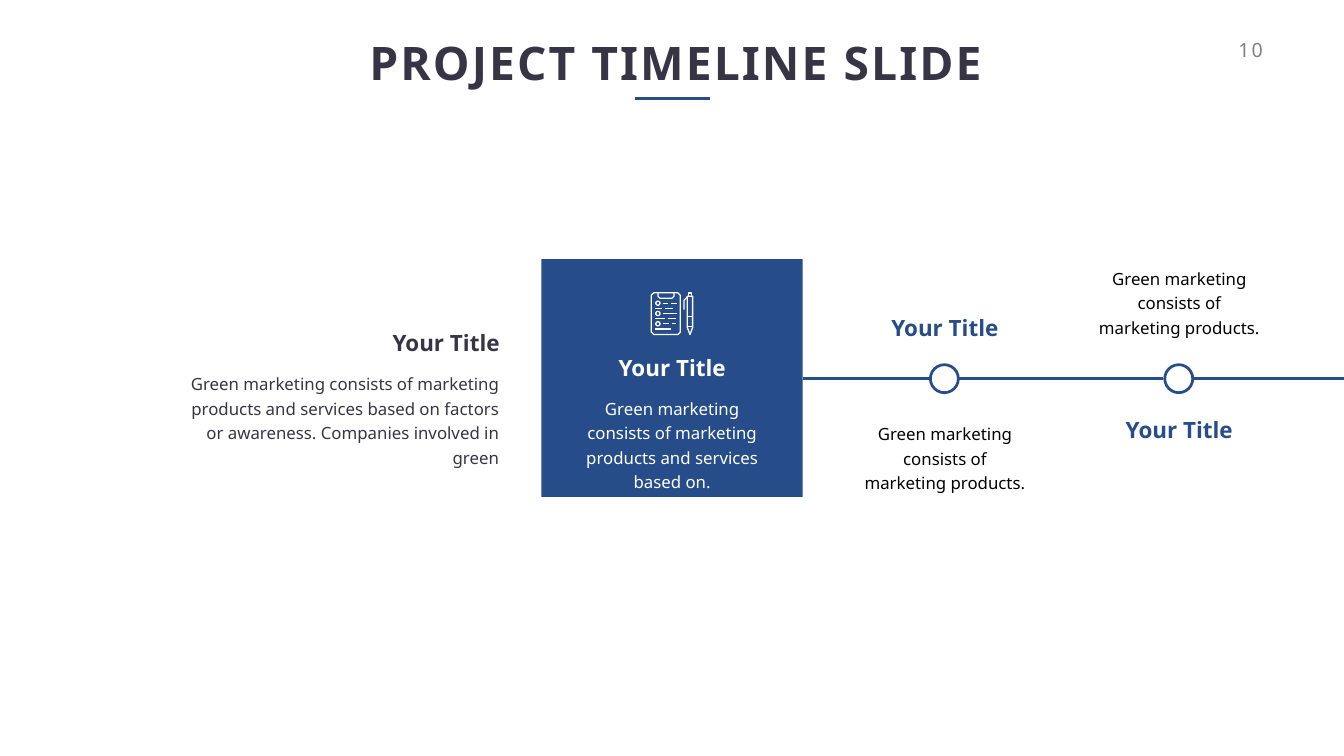
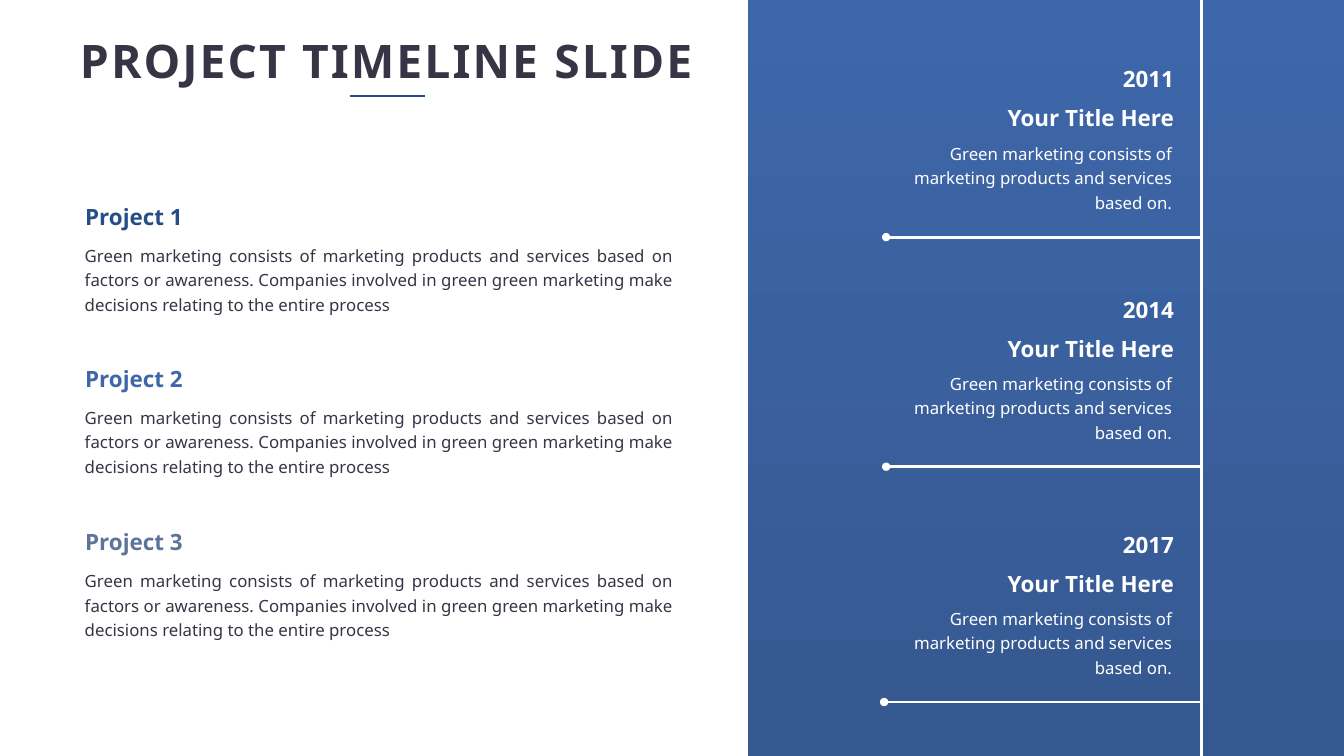
from lxml import etree
from pptx import Presentation, util as u
from pptx.dml import color
from pptx.enum import shapes, text
from pptx.oxml import ns

FONT = "Noto Sans"
NAVY, BLUE, SLATE = "264D89", "3E67AA", "5D739A"
INK, WHITE, BLACK, GREY = "373545", "FFFFFF", "000000", "808080"
WIDE, HIGH = 67.72, 38.1
LEFT, RIGHT, MID, EVEN = (
    text.PP_ALIGN.LEFT, text.PP_ALIGN.RIGHT,
    text.PP_ALIGN.CENTER, text.PP_ALIGN.JUSTIFY)
TOP, MIDDLE, LOW = (
    text.MSO_ANCHOR.TOP, text.MSO_ANCHOR.MIDDLE, text.MSO_ANCHOR.BOTTOM)
FORM = shapes.MSO_SHAPE
HEAD_W, HEAD_H, BODY_H = 6.02, 1.63, 4.27

SHORT = "Green marketing consists of marketing products."
BRIEF = "Green marketing consists of marketing products and services based on."
FULL = ("Green marketing consists of marketing products and services based on "
        "factors or awareness. Companies involved in green")
LONG = FULL + " green marketing make decisions relating to the entire process"


def rgb(code):
    return color.RGBColor.from_string(code)


def put(thing, values):
    for key, value in values.items():
        setattr(thing, key, value)


def cms(*sizes):
    return [u.Cm(size) for size in sizes]


def write(slide, box, lines, size, tint, align=LEFT, anchor=TOP, bold=False,
          wrap=False, pads=(0.25, 0.13, 0.25, 0.13), lead=None, track=None):
    frame = slide.shapes.add_textbox(*cms(*box)).text_frame
    sides = ("margin_left", "margin_top", "margin_right", "margin_bottom")
    put(frame, dict(zip(sides, cms(*pads))))
    put(frame, {"word_wrap": wrap, "vertical_anchor": anchor,
                "auto_size": text.MSO_AUTO_SIZE.SHAPE_TO_FIT_TEXT})
    for row, line in enumerate(lines):
        para = frame.add_paragraph() if row else frame.paragraphs[0]
        para.alignment = align
        if lead:
            para.line_spacing = u.Pt(lead)
        run = para.add_run()
        run.text = line
        put(run.font, {"name": FONT, "size": u.Pt(size), "bold": bold})
        run.font.color.rgb = rgb(tint)
        if track:
            run.font._element.set("spc", str(track * 100))


def head(slide, box, line, tint, align=MID, anchor=MIDDLE):
    write(slide, box, [line], 32, tint, align, anchor, bold=True)


def body(slide, box, line, tint, align=MID, anchor=TOP):
    write(slide, box, [line], 24, tint, align, anchor, wrap=True,
          pads=(0.61, 0.3, 0.61, 0.3), lead=35)


def link(slide, start, end, tint, width, tail=None):
    line = slide.shapes.add_connector(
        shapes.MSO_CONNECTOR.STRAIGHT, *cms(*start, *end))
    line.line.color.rgb = rgb(tint)
    line.line.width = u.Pt(width)
    if tail:
        edge = line.line._get_or_add_ln()
        etree.SubElement(edge, ns.qn("a:tailEnd"), type=tail)
    etree.SubElement(line._element.spPr, ns.qn("a:effectLst"))


def solid(slide, kind, box, tint):
    shape = slide.shapes.add_shape(kind, *cms(*box))
    shape.shadow.inherit = False
    shape.fill.solid()
    shape.fill.fore_color.rgb = rgb(tint)
    shape.line.fill.background()
    return shape


def title(slide, x, y, align):
    write(slide, (x, y, 31.55, 2.82), ["PROJECT TIMELINE SLIDE"], 66, INK,
          align, bold=True, pads=(0.25, 0, 0, 0), track=3)
    link(slide, (x + 13.84, y + 3.21), (x + 17.62, y + 3.21), NAVY, 3.6)


def blunt(x, y, width, height, cut):
    right, base = x + width, y + height
    return [(x + cut, y), (right - cut, y), (right, y + cut),
            (right, base - cut), (right - cut, base), (x + cut, base),
            (x, base - cut), (x, y + cut), (x + cut, y)]


def icon(slide, x, y):
    rows = [[(0.62, 0.89), (1.02, 1.3)], [(0.22, 0.57), (0.7, 1.12)],
            [(0.62, 1.32)], [(0.22, 0.72), (0.88, 1.28)],
            [(0.62, 0.93), (1.08, 1.28)], [(0.22, 1)]]
    board = blunt(0.03, 0.03, 1.46, 2.1, 0.12)
    clip = [(0.36, 0.03), (0.36, 0.2), (0.46, 0.3), (1.07, 0.3),
            (1.17, 0.2), (1.17, 0.03)]
    shaft = [(1.84, 0.2), (1.84, 1.77), (1.98, 2.13), (2.11, 1.77),
             (2.11, 0.2), (1.84, 0.2)]
    cap = [(1.9, 0.2), (1.9, 0.04), (2.07, 0.04), (2.07, 0.2)]
    hook = [(1.84, 0.24), (1.68, 0.4), (1.68, 0.87)]
    paths = [board, clip, shaft, cap, hook]
    paths += [[(1.84, level), (2.11, level)] for level in (1.22, 1.74)]
    for row, dashes in enumerate(rows):
        level = 0.55 + 0.26 * row
        paths += [[(start, level), (end, level)] for start, end in dashes]
        if row % 2 == 0:
            paths.append(blunt(0.26, level - 0.1, 0.2, 0.2, 0.06))
    pen = None
    for points in paths:
        spots = [cms(x + px, y + py) for px, py in points]
        if pen:
            pen.move_to(*spots[0])
        else:
            pen = slide.shapes.build_freeform(*spots[0])
        pen.add_line_segments(spots[1:], close=False)
    shape = pen.convert_to_shape()
    shape.shadow.inherit = False
    shape.fill.background()
    shape.line.color.rgb = rgb(WHITE)
    shape.line.width = u.Pt(1.8)


def card(slide, x, y):
    solid(slide, FORM.RECTANGLE, (x, y, 13.17, 11.98), NAVY)
    icon(slide, x + 5.51, y + 1.67)
    head(slide, (x + 3.58, y + 4.64, HEAD_W, HEAD_H), "Your Title", WHITE)
    body(slide, (x + 1.1, y + 6.5, 10.97, BODY_H), BRIEF, WHITE)


def stop(slide, x, y, above):
    ring = solid(slide, FORM.DONUT, (x, y - 0.77, 1.55, 1.55), NAVY)
    ring.adjustments[0] = 0.09
    centre = x + 0.8
    parts = ((head, "Your Title", HEAD_W, HEAD_H, NAVY, above),
             (body, SHORT, 9.4, BODY_H, BLACK, not above))
    for draw, line, width, height, tint, over in parts:
        level = y - 1.76 - height if over else y + 1.77
        draw(slide, (centre - width / 2, level, width, height), line, tint,
             anchor=LOW if over else TOP)


def flow(slide, x, y):
    first, gap = x + 6.37, 11.81
    stops = [first, first + gap]
    starts = [x] + [spot + 1.5 for spot in stops]
    for start, end in zip(starts, stops + [WIDE]):
        link(slide, (start, y), (end, y), NAVY, 4)
    for spot, above in zip(stops, (True, False)):
        stop(slide, spot, y, above)


def intro(slide, x, y):
    head(slide, (x + 11.08, y, HEAD_W, HEAD_H), "Your Title", INK, RIGHT)
    body(slide, (x, y + 1.87, 17.42, BODY_H), FULL, INK, RIGHT)


def event(slide, axis, top, y, start, year):
    link(slide, (start, y), (start - 15.9, y), WHITE, 4, "oval")
    write(slide, (axis - 10.18, top, 9.04, 3.99),
          [year, "Your Title Here"], 32, WHITE, RIGHT, bold=True, lead=55)
    body(slide, (axis - 15.52, y - 5.23, 14.63, BODY_H), BRIEF, WHITE, RIGHT)


def panel(slide, x):
    back = solid(slide, FORM.RECTANGLE, (x, 0, WIDE - x, HIGH), BLUE)
    back.fill.gradient()
    back.fill.gradient_angle = 270
    for step, tint in zip(back.fill.gradient_stops, (BLUE, "355890")):
        step.color.rgb = rgb(tint)
    axis = x + 22.86
    link(slide, (axis, HIGH), (axis, 0), WHITE, 4)
    events = ((2.58, 11.95, axis, "2011"), (14.22, 23.52, axis, "2014"),
              (26.07, 35.38, axis - 0.1, "2017"))
    for top, y, start, year in events:
        event(slide, axis, top, y, start, year)


def projects(slide, x, tops):
    for row, (top, tint) in enumerate(zip(tops, (NAVY, BLUE, SLATE))):
        head(slide, (x + 0.38, top, 5.51, HEAD_H), f"Project {row + 1}",
             tint, LEFT)
        body(slide, (x, top + 1.75, 30.84, BODY_H), LONG, INK, EVEN)


def across(slide):
    write(slide, (61.8, 1.8, 2.08, 1.45), ["10"], 28, GREY, RIGHT, track=3)
    title(slide, 18.16, 1.75, MID)
    card(slide, 27.28, 13.06)
    flow(slide, 40.44, 19.08)
    intro(slide, 8.33, 16.46)


def down(slide):
    panel(slide, 37.69)
    title(slide, 3.78, 1.63, LEFT)
    projects(slide, 3.66, (10.11, 18.27, 26.5))


def main():
    deck = Presentation()
    put(deck, {"slide_width": u.Cm(WIDE), "slide_height": u.Cm(HIGH)})
    for build in (across, down):
        build(deck.slides.add_slide(deck.slide_layouts[6]))
    deck.save("out.pptx")


if __name__ == "__main__":
    main()
